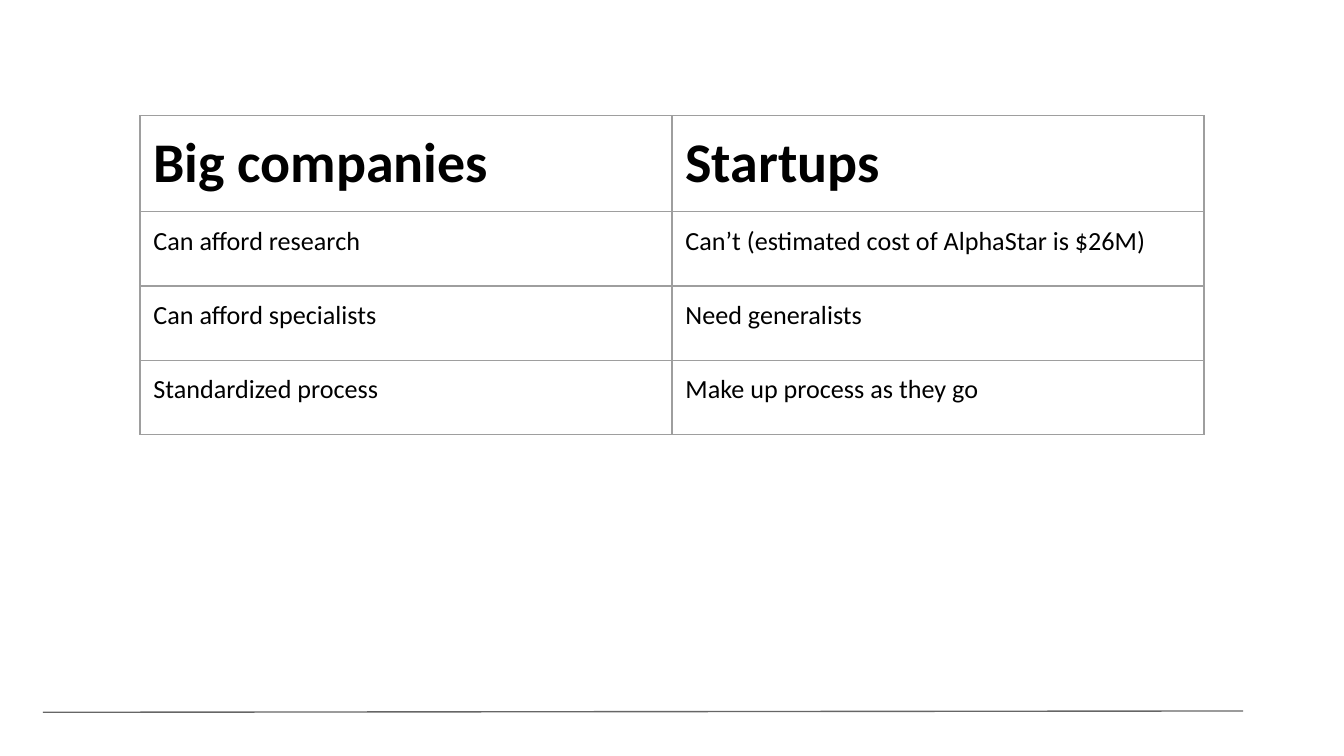
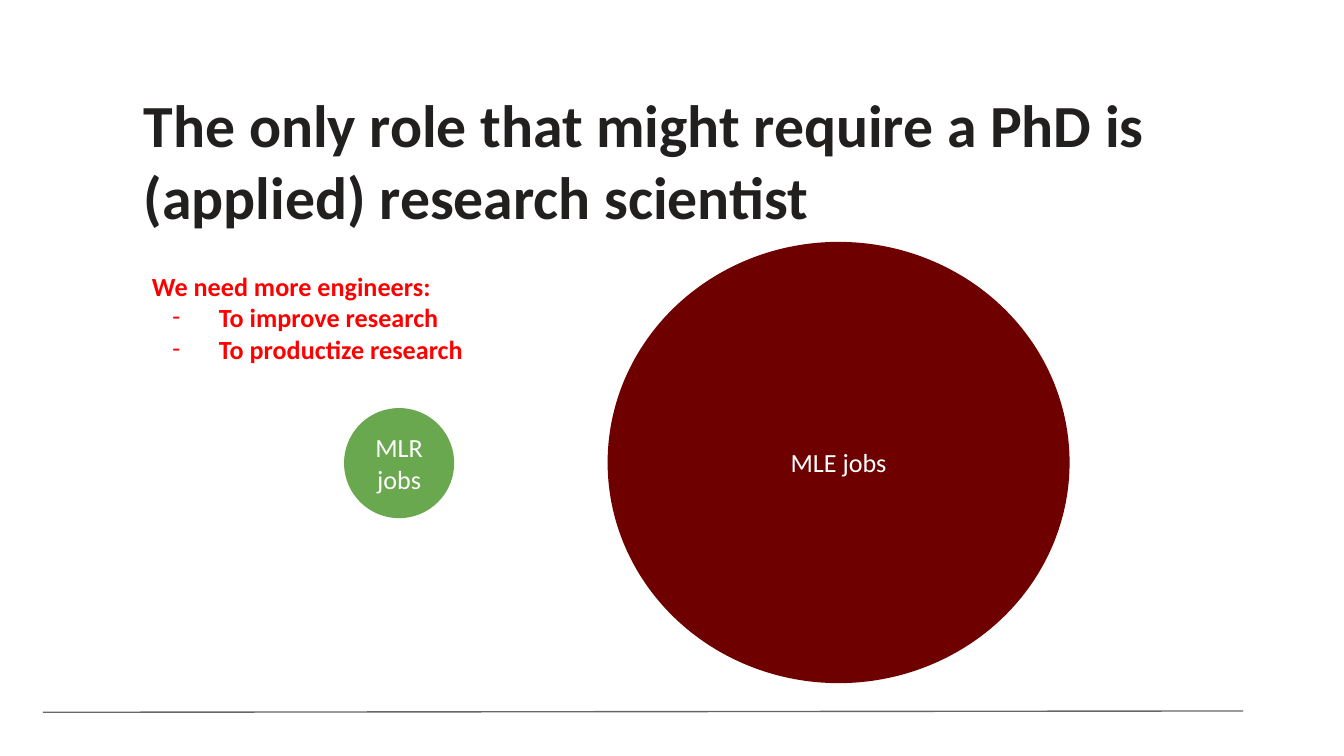
from lxml.etree import SubElement
from pptx import Presentation
from pptx.dml.color import RGBColor
from pptx.enum.shapes import MSO_CONNECTOR, MSO_SHAPE
from pptx.enum.text import MSO_ANCHOR, PP_ALIGN
from pptx.oxml.ns import qn
from pptx.util import Pt

COLORS = {
    "background": "FFFFFF",
    "footer": "666666",
    "border": "9E9E9E",
    "table_text": "000000",
    "title": "221F1F",
    "engineer": "6F0000",
    "researcher": "6AA84F",
    "label": "FFFFFF",
    "callout": "FF0000",
}


def color(name):
    return RGBColor.from_string(COLORS[name])


class DeckBuilder:
    font = "Calibri"
    inset = Pt(7.2)
    body_size = 14

    def __init__(self):
        self.deck = Presentation()
        self.deck.slide_width = Pt(720)
        self.deck.slide_height = Pt(405)
        self.page = None

    def add_page(self):
        self.page = self.deck.slides.add_slide(self.deck.slide_layouts[6])
        self.page.background.fill.solid()
        self.page.background.fill.fore_color.rgb = color("background")
        self.add_line(23, 381.6, 666, 380.9)

    def add_line(self, left, top, right, bottom):
        line = self.page.shapes.add_connector(
            MSO_CONNECTOR.STRAIGHT, Pt(left), Pt(top), Pt(right), Pt(bottom))
        line.line.color.rgb = color("footer")
        line.line.width = Pt(0.75)
        SubElement(line._element.spPr, qn("a:effectLst"))

    def set_margins(self, target):
        target.margin_left = target.margin_right = self.inset
        target.margin_top = target.margin_bottom = self.inset

    def style_text(self, paragraph, text, size, color_name, bold=False):
        paragraph.text = text
        for span in paragraph.runs:
            span.font.name = self.font
            span.font.size = Pt(size)
            span.font.bold = bold
            span.font.color.rgb = color(color_name)

    def add_text(self, left, top, width, height, lead, size, color_name,
                 bullets=(), anchor=MSO_ANCHOR.TOP):
        box = self.page.shapes.add_textbox(Pt(left), Pt(top), Pt(width), Pt(height))
        frame = box.text_frame
        frame.word_wrap = True
        frame.vertical_anchor = anchor
        self.set_margins(frame)
        self.style_text(frame.paragraphs[0], lead, size, color_name, bold=True)
        for text in bullets:
            paragraph = frame.add_paragraph()
            self.add_dash(paragraph, color_name)
            self.style_text(paragraph, text, size, color_name, bold=True)

    def add_dash(self, paragraph, color_name):
        properties = paragraph._p.get_or_add_pPr()
        properties.set("marL", str(Pt(36)))
        properties.set("indent", str(Pt(-25)))
        bullet_color = SubElement(properties, qn("a:buClr"))
        SubElement(bullet_color, qn("a:srgbClr"), val=COLORS[color_name])
        SubElement(properties, qn("a:buFont"), typeface=self.font)
        SubElement(properties, qn("a:buChar"), char="-")

    def add_title(self, text):
        self.add_text(70, 56, 587.5, 59, text, 32, "title", anchor=MSO_ANCHOR.MIDDLE)

    def add_circle(self, left, top, width, height, text, fill):
        circle = self.page.shapes.add_shape(
            MSO_SHAPE.OVAL, Pt(left), Pt(top), Pt(width), Pt(height))
        circle.shadow.inherit = False
        circle.fill.solid()
        circle.fill.fore_color.rgb = color(fill)
        circle.line.fill.background()
        frame = circle.text_frame
        frame.word_wrap = True
        frame.vertical_anchor = MSO_ANCHOR.MIDDLE
        self.set_margins(frame)
        self.style_text(frame.paragraphs[0], text, self.body_size, "label")
        frame.paragraphs[0].alignment = PP_ALIGN.CENTER

    def add_table(self, left, top, column_width, header_height, row_height, rows):
        column_count = len(rows[0])
        heights = [header_height] + [row_height] * (len(rows) - 1)
        table = self.page.shapes.add_table(
            len(rows), column_count, Pt(left), Pt(top),
            Pt(column_width * column_count), Pt(sum(heights))).table
        table.horz_banding = False
        for column in table.columns:
            column.width = Pt(column_width)
        for index, (texts, height) in enumerate(zip(rows, heights)):
            table.rows[index].height = Pt(height)
            is_header = index == 0
            size = 30 if is_header else self.body_size
            for cell, text in zip(table.rows[index].cells, texts):
                self.set_margins(cell)
                self.style_text(cell.text_frame.paragraphs[0], text, size,
                                "table_text", is_header)
                self.add_borders(cell)
                cell.fill.background()

    def add_borders(self, cell):
        properties = cell._tc.get_or_add_tcPr()
        for side in ("lnL", "lnR", "lnT", "lnB"):
            border = SubElement(properties, qn(f"a:{side}"), w=str(Pt(0.75)))
            fill = SubElement(border, qn("a:solidFill"))
            SubElement(fill, qn("a:srgbClr"), val=COLORS["border"])


def main():
    builder = DeckBuilder()

    builder.add_page()
    builder.add_table(75, 62, 285, 51.5, 39.8, [
        ("Big companies", "Startups"),
        ("Can afford research", "Can’t (estimated cost of AlphaStar is $26M)"),
        ("Can afford specialists", "Need generalists"),
        ("Standardized process", "Make up process as they go"),
    ])

    builder.add_page()
    builder.add_title(
        "The only role that might require a PhD is (applied) research scientist")
    builder.add_circle(325.5, 129.6, 247.5, 236.4, "MLE jobs", "engineer")
    builder.add_circle(184.3, 218.6, 59, 59, "MLR jobs", "researcher")
    builder.add_text(74.2, 137.5, 279.4, 59, "We need more engineers:",
                     builder.body_size, "callout",
                     bullets=("To improve research", "To productize research"))

    builder.deck.save("out.pptx")


if __name__ == "__main__":
    main()
